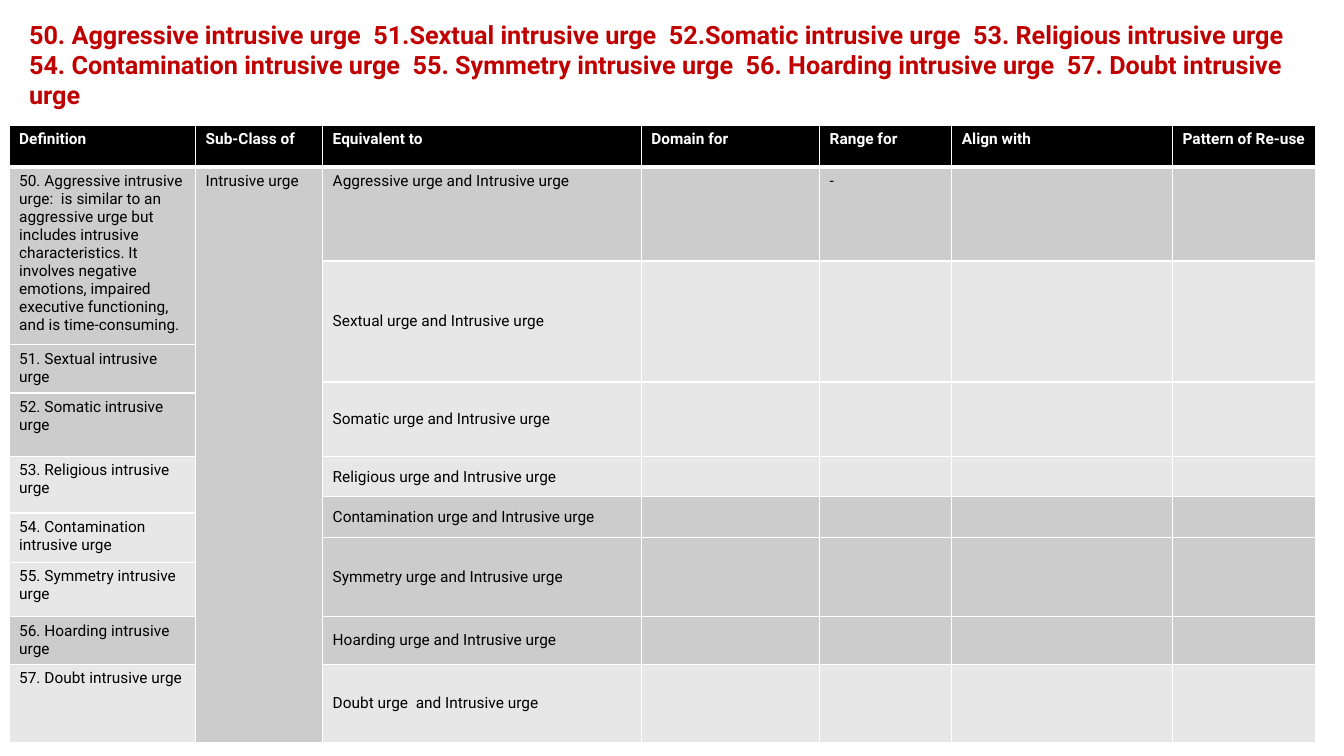
import pptx
import pptx.dml.color
import pptx.enum.text
import pptx.oxml
import pptx.oxml.ns
import pptx.util

Inches = pptx.util.Inches
FONT = "Roboto"
WHITE, BLACK, RED = "FFFFFF", "000000", "C00000"
DARK, LIGHT = "CCCCCC", "E7E7E7"

TITLE = (
    "50. Aggressive intrusive urge  51.Sextual intrusive urge  "
    "52.Somatic intrusive urge  53. Religious intrusive urge "
    "54. Contamination intrusive urge  55. Symmetry intrusive urge  "
    "56. Hoarding intrusive urge  57. Doubt intrusive urge"
)
HEADERS = ["Definition", "Sub-Class of", "Equivalent to", "Domain for",
           "Range for", "Align with", "Pattern of Re-use"]
COL_WIDTHS = [1.85, 1.26, 3.16, 1.77, 1.31, 2.19, 1.42]
ROW_HEIGHTS = [0.42, 0.93, 0.83, 0.37, 0.11, 0.63, 0.4,
               0.16, 0.24, 0.25, 0.54, 0.47, 0.78]

# first row, rows spanned, text, fill
DEFINITIONS = [
    (1, 2, "50. Aggressive intrusive urge:  is similar to an aggressive urge but "
           "includes intrusive characteristics. It involves negative emotions, "
           "impaired executive functioning, and is time-consuming.", DARK),
    (3, 2, "51. Sextual intrusive urge", DARK),
    (5, 1, "52. Somatic intrusive urge", DARK),
    (6, 2, "53. Religious intrusive urge", LIGHT),
    (8, 2, "54. Contamination intrusive urge", LIGHT),
    (10, 1, "55. Symmetry intrusive urge", LIGHT),
    (11, 1, "56. Hoarding intrusive urge", DARK),
    (12, 1, "57. Doubt intrusive urge", LIGHT),
]
EQUIVALENTS = [
    (1, 1, "Aggressive urge and Intrusive urge", DARK),
    (2, 2, "Sextual urge and Intrusive urge", LIGHT),
    (4, 2, "Somatic urge and Intrusive urge", LIGHT),
    (6, 1, "Religious urge and Intrusive urge", LIGHT),
    (7, 2, "Contamination urge and Intrusive urge", DARK),
    (9, 2, "Symmetry urge and Intrusive urge", DARK),
    (11, 1, "Hoarding urge and Intrusive urge", DARK),
    (12, 1, "Doubt urge  and Intrusive urge", LIGHT),
]


def rgb(color):
    return pptx.dml.color.RGBColor.from_string(color)


def write(tf, text, size, color, bold=False):
    p = tf.paragraphs[0]
    p.text = text
    p.font.name = FONT
    p.font.size = pptx.util.Pt(size)
    p.font.bold = bold
    p.font.color.rgb = rgb(color)


def add_border(cell, side, width):
    cell._tc.get_or_add_tcPr().append(pptx.oxml.parse_xml(
        f'<a:ln{side} {pptx.oxml.ns.nsdecls("a")} w="{pptx.util.Pt(width)}">'
        f'<a:solidFill><a:srgbClr val="{WHITE}"/></a:solidFill></a:ln{side}>'))


def fill_block(table, row, span, col, text, fill, color=BLACK, bold=False):
    cell = table.cell(row, col)
    if span > 1:
        cell.merge(table.cell(row + span - 1, col))
    for r in range(row, row + span):
        part = table.cell(r, col)
        part.fill.solid()
        part.fill.fore_color.rgb = rgb(fill)
    if text:
        write(cell.text_frame, text, 11, color, bold)
    return cell


def main():
    prs = pptx.Presentation()
    prs.slide_width, prs.slide_height = Inches(13.33), Inches(7.5)
    s = prs.slides.add_slide(prs.slide_layouts[6])

    title = s.shapes.add_textbox(Inches(0.19), Inches(0.14), Inches(12.84), Inches(1.31))
    title.text_frame.word_wrap = True
    write(title.text_frame, TITLE, 18, RED, True)

    table = s.shapes.add_table(
        len(ROW_HEIGHTS), len(COL_WIDTHS), Inches(0.09), Inches(1.24),
        Inches(sum(COL_WIDTHS)), Inches(sum(ROW_HEIGHTS))).table
    for column, width in zip(table.columns, COL_WIDTHS):
        column.width = Inches(width)
    for i, height in enumerate(ROW_HEIGHTS):
        table.rows[i].height = Inches(height)
        for cell in table.rows[i].cells:
            for side in "LRTB":
                under_header = (i, side) in ((0, "B"), (1, "T"))
                add_border(cell, side, 3 if under_header else 1)

    for col, header in enumerate(HEADERS):
        fill_block(table, 0, 1, col, header, BLACK, WHITE, True)
    for row, span, text, fill in DEFINITIONS:
        fill_block(table, row, span, 0, text, fill)
    fill_block(table, 1, 12, 1, "Intrusive urge", DARK)
    for row, span, text, fill in EQUIVALENTS:
        cell = fill_block(table, row, span, 2, text, fill)
        if row > 1:
            cell.vertical_anchor = pptx.enum.text.MSO_ANCHOR.MIDDLE
        for col in range(3, len(HEADERS)):
            fill_block(table, row, span, col, "-" if (row, col) == (1, 4) else "", fill)

    prs.save("out.pptx")


if __name__ == "__main__":
    main()
